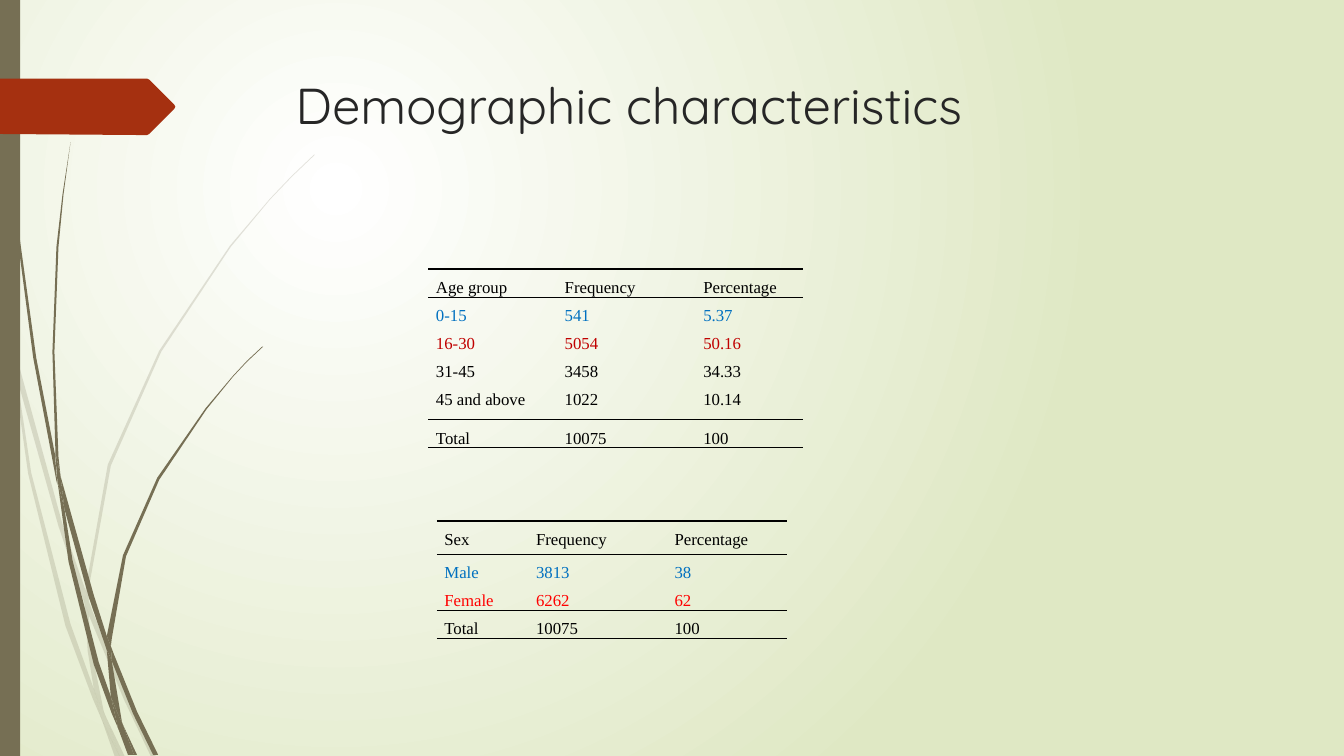
"""Build the slide of demographic tables by age group and sex."""
from lxml.etree import SubElement
from pptx import Presentation
from pptx.dml.color import RGBColor
from pptx.enum.shapes import MSO_SHAPE
from pptx.enum.text import MSO_ANCHOR, PP_ALIGN
from pptx.oxml.ns import qn
from pptx.util import Pt

INK = {"white": "FFFFFF", "green": "DFE8C4", "grass": "766F54",
       "rust": "A53010", "title": "262626", "black": "000000",
       "blue": "0070C0", "dark": "C00000", "red": "FF0000"}
PLAIN = "{2D5ABB26-0587-4C30-8999-92F81FD0307C}"
UNIT = 0.72

PALE = [
    [(11, 350), (9, 322), (0, 282), (0, 299), (10, 344)],
    [(58, 522), (84, 599), (85, 586), (62, 520), (14, 345), (17, 376)],
    [(92, 607), (88, 596), (88, 610), (123, 694), (150, 751), (155, 751),
     (127, 692)],
    [(119, 751), (124, 751), (105, 711)],
    [(93, 683), (70, 619), (31, 469), (17, 376), (11, 350), (28, 470),
     (65, 621), (92, 693), (101, 714), (99, 707)],
    [(84, 599), (87, 646), (93, 683), (96, 692), (105, 711), (103, 706),
     (91, 646), (88, 610), (88, 608)],
    [(88, 584), (110, 462), (160, 349), (229, 245), (268, 198), (290, 175),
     (312, 154), (312, 153), (289, 175), (268, 197), (228, 244), (158, 348),
     (107, 461), (85, 584), (85, 586), (88, 596)],
    [(101, 714), (114, 751), (119, 751)],
    [(88, 608), (88, 610), (88, 596), (85, 586), (84, 599)],
    [(96, 692), (93, 683), (99, 707), (101, 714), (119, 751), (105, 711)],
]
DEEP = [
    [(7, 110), (17, 233), (33, 355), (56, 477), (57, 481), (55, 457),
     (55, 453), (36, 355), (19, 232), (8, 109), (5, 48), (4, 0), (3, 0),
     (4, 48)],
    [(88, 592), (106, 645), (106, 633), (106, 631), (93, 590), (60, 472),
     (64, 505)],
    [(113, 649), (110, 641), (111, 656), (132, 708), (152, 749), (157, 749),
     (136, 706)],
    [(110, 691), (98, 657), (72, 556), (64, 505), (57, 477), (68, 557),
     (93, 659), (111, 708), (117, 722), (116, 717)],
    [(60, 472), (58, 453), (54, 349), (58, 245), (63, 193), (70, 141),
     (62, 193), (56, 245), (52, 349), (55, 449)],
    [(133, 749), (136, 749), (122, 719)],
    [(57, 477), (64, 505), (60, 472), (55, 449), (55, 453)],
    [(111, 633), (125, 552), (158, 476), (205, 406), (231, 374), (245, 359),
     (261, 344), (260, 344), (245, 358), (231, 373), (204, 405), (156, 474),
     (122, 551), (106, 631), (110, 641)],
    [(117, 722), (127, 749), (131, 749)],
    [(106, 645), (110, 691), (116, 706), (122, 719), (121, 716), (111, 656),
     (109, 651)],
    [(106, 645), (109, 651), (111, 656), (110, 641), (106, 631), (106, 633)],
    [(116, 706), (110, 691), (116, 717), (117, 722), (130, 749), (133, 749),
     (122, 719)],
]
ARROW = [(173, 108), (148, 133), (146, 134), (136, 134), (0, 133), (0, 78),
         (136, 78), (146, 78), (148, 79), (173, 104), (174, 106)]
AGES = [
    (("Age group", "Frequency", "Percentage"), "black", 20),
    (("0-15", "541", "5.37"), "blue", 20),
    (("16-30", "5054", "50.16"), "dark", 20),
    (("31-45", "3458", "34.33"), "black", 20),
    (("45 and above", "1022", "10.14"), "black", 27.5),
    (("Total", "10075", "100"), "black", 20),
]
SEXES = [
    (("Sex", "Frequency", "Percentage"), "black", 23.8),
    (("Male", "3813", "38"), "blue", 20),
    (("Female", "6262", "62"), "red", 20),
    (("Total", "10075", "100"), "black", 20),
]


def color(name):
    return RGBColor.from_string(INK[name])


def paint(shape, name, alpha=100):
    shape.shadow.inherit = False
    shape.fill.solid()
    shape.fill.fore_color.rgb = color(name)
    shape.line.fill.background()
    if alpha < 100:
        tone = shape.element.spPr.find(qn("a:solidFill"))[0]
        SubElement(tone, qn("a:alpha"), val=str(alpha * 1000))


def outline(slide, spots, name, alpha=100):
    spots = [(Pt(x * UNIT), Pt(y * UNIT)) for x, y in spots]
    pen = slide.shapes.build_freeform(*spots[0])
    pen.add_line_segments(spots[1:])
    paint(pen.convert_to_shape(), name, alpha)


def backdrop(slide):
    fill = slide.background.fill
    fill.gradient()
    for stop, name in zip(fill.gradient_stops, ("white", "green")):
        stop.color.rgb = color(name)
    grad = slide.element.find(".//" + qn("a:gradFill"))
    grad.remove(grad.find(qn("a:lin")))
    ring = SubElement(grad, qn("a:path"), path="circle")
    SubElement(ring, qn("a:fillToRect"),
               l="50000", t="50000", r="100000", b="100000")


def heading(slide, text):
    title = slide.shapes.title
    title.left, title.top = Pt(204), Pt(49)
    title.width, title.height = Pt(702), Pt(101)
    frame = title.text_frame
    frame.text = text
    frame.vertical_anchor = MSO_ANCHOR.TOP
    line = frame.paragraphs[0]
    line.alignment = PP_ALIGN.LEFT
    line.font.name, line.font.size = "Quicksand", Pt(36)
    line.font.color.rgb = color("title")


def border(cell, sides):
    props = cell._tc.get_or_add_tcPr()
    for side in ("lnL", "lnR", "lnT", "lnB"):
        line = SubElement(props, qn("a:" + side), w=str(Pt(1)))
        if side in sides:
            tone = SubElement(line, qn("a:solidFill"))
            SubElement(tone, qn("a:srgbClr"), val=INK["black"])
        else:
            SubElement(line, qn("a:noFill"))


def write(cell, text, name):
    cell.margin_left = cell.margin_right = Pt(5.4)
    cell.margin_top = cell.margin_bottom = 0
    cell.fill.background()
    cell.text = text
    line = cell.text_frame.paragraphs[0]
    line.line_spacing = Pt(20)
    line.font.name, line.font.size = "Times New Roman", Pt(12)
    line.font.color.rgb = color(name)


def grid(slide, left, top, widths, rows):
    high = sum(row[2] for row in rows)
    frame = slide.shapes.add_table(len(rows), len(widths), Pt(left), Pt(top),
                                   Pt(sum(widths)), Pt(high))
    table = frame.table
    table.first_row = table.horz_banding = False
    frame.element.find(".//" + qn("a:tableStyleId")).text = PLAIN
    for col, width in zip(table.columns, widths):
        col.width = Pt(width)
    last = len(rows) - 1
    rules = {0: ("lnT", "lnB"), 1: ("lnT",), last - 1: ("lnB",),
             last: ("lnT", "lnB")}
    for i, (words, name, height) in enumerate(rows):
        table.rows[i].height = Pt(height)
        for j, text in enumerate(words):
            border(table.cell(i, j), rules.get(i, ()))
            write(table.cell(i, j), text, name)


def main():
    deck = Presentation()
    deck.slide_width, deck.slide_height = Pt(960), Pt(540)
    slide = deck.slides.add_slide(deck.slide_layouts[5])
    backdrop(slide)
    for group, alpha in ((PALE, 20), (DEEP, 100)):
        for spots in group:
            outline(slide, spots, "grass", alpha)
    bar = slide.shapes.add_shape(MSO_SHAPE.RECTANGLE, 0, 0, Pt(14.4), Pt(540))
    paint(bar, "grass")
    outline(slide, ARROW, "rust")
    heading(slide, "Demographic characteristics")
    grid(slide, 306, 192.2, (92, 99, 76.5), AGES)
    grid(slide, 312, 372.2, (65.5, 99, 85.5), SEXES)
    deck.save("out.pptx")


if __name__ == "__main__":
    main()
